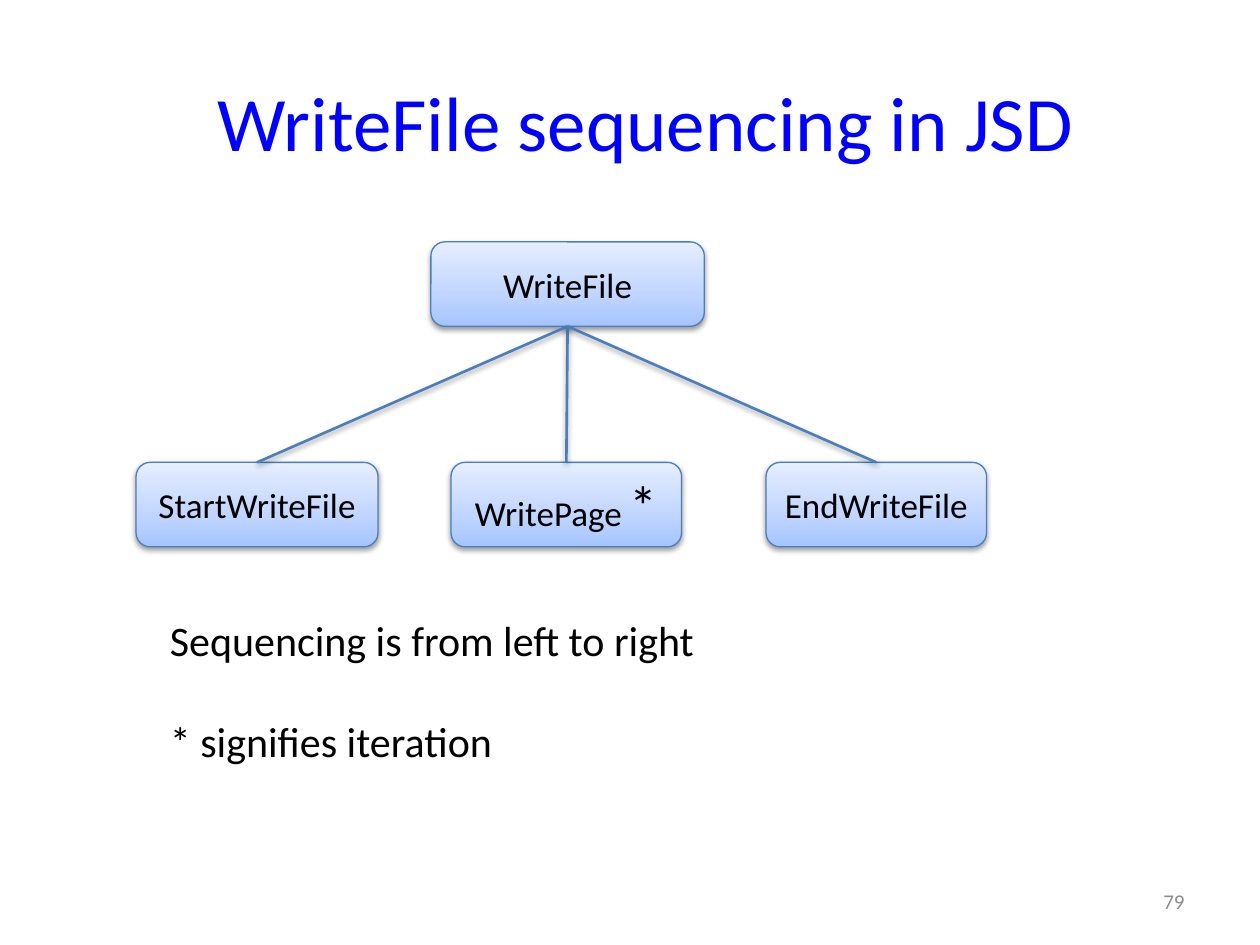
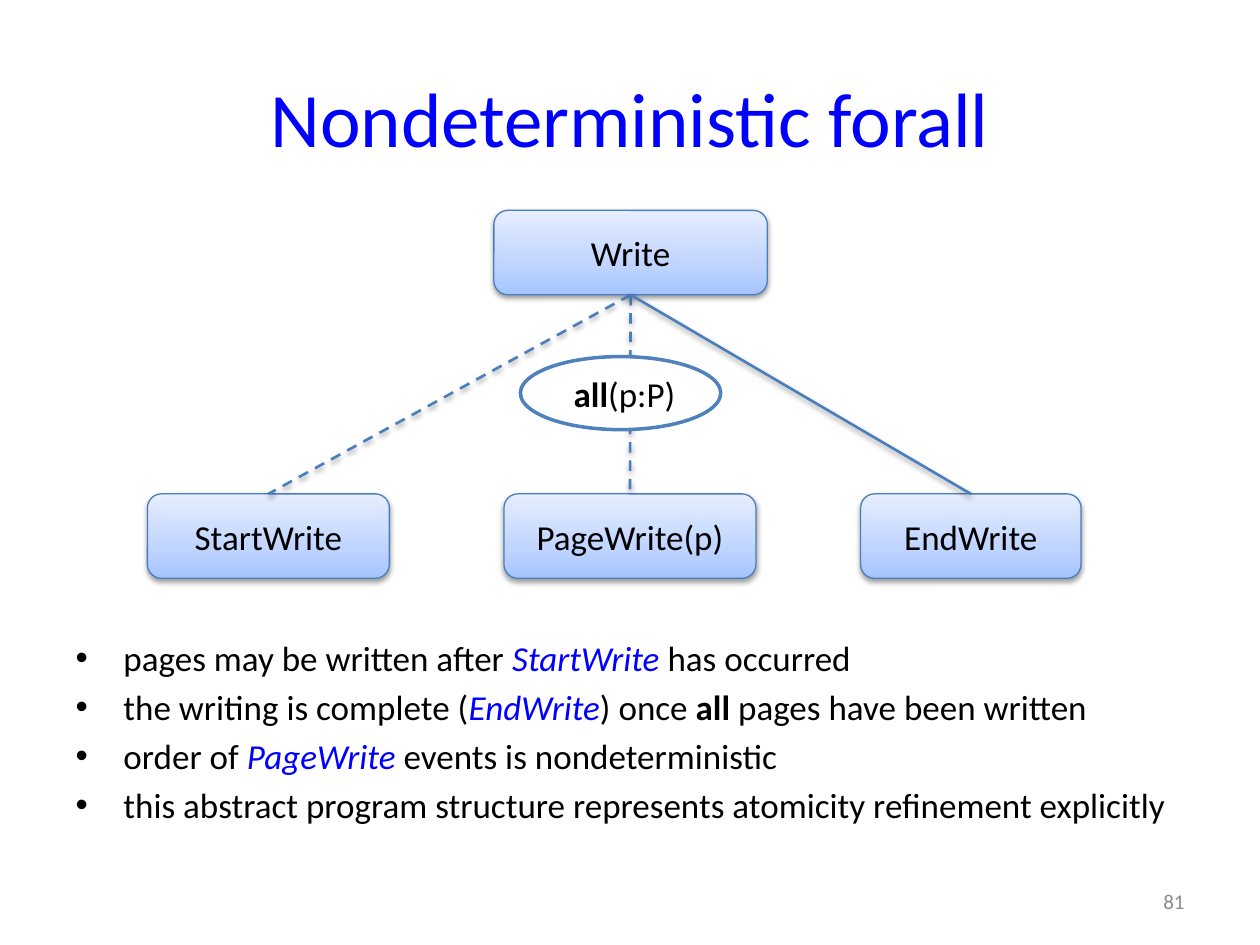
from pptx import Presentation
from pptx.dml.color import RGBColor
from pptx.enum.dml import MSO_LINE
from pptx.enum.shapes import MSO_CONNECTOR, MSO_SHAPE
from pptx.enum.text import MSO_ANCHOR, MSO_AUTO_SIZE, PP_ALIGN
from pptx.oxml import parse_xml
from pptx.oxml.ns import nsdecls, qn
from pptx.util import Inches, Pt

ROUND_RECT, OVAL = MSO_SHAPE.ROUNDED_RECTANGLE, MSO_SHAPE.OVAL
STRAIGHT, DASH = MSO_CONNECTOR.STRAIGHT, MSO_LINE.DASH
LEFT, CENTER, RIGHT = PP_ALIGN.LEFT, PP_ALIGN.CENTER, PP_ALIGN.RIGHT
MIDDLE, NO_FIT = MSO_ANCHOR.MIDDLE, MSO_AUTO_SIZE.NONE
TITLE_AND_CONTENT, TITLE_ONLY = 1, 5
BOTTOM_SITE, TOP_SITE = 2, 0

FONT = "Calibri"
BLUE, BLACK, WHITE, GREY = "0000FF", "000000", "FFFFFF", "8C8C8C"
EDGE, OVAL_EDGE = "4B7EBC", "4F81BD"
GRADIENT = [(0, "A4C4FF"), (35, "BFD4FF"), (100, "E6EEFF")]
BOX_H = 0.67
BOLD = {"bold": True}
EVENT = {"italic": True, "color": BLUE}

# A run is (text, format); a child is (runs, width, dashed link)
SEQUENCING = {
    "title": "WriteFile sequencing in JSD",
    "title_at": (0.5, 0.33, 9.25, 1.25),
    "number": "79",
    "root": ([("WriteFile", {})], (3.42, 1.92, 2.17, BOX_H)),
    "first": (1.08, 3.67),
    "pitch": 2.5,
    "children": [
        ([("StartWriteFile", {})], 1.92, False),
        ([("WritePage ", {}), ("*", {"size": 32})], 1.83, False),
        ([("EndWriteFile", {})], 1.75, False),
    ],
}
LEGEND = ["Sequencing is from left to right", "* signifies iteration"]

FORALL = {
    "title": "Nondeterministic forall",
    "title_at": (0.5, 0.3, 9, 1.25),
    "number": "81",
    "root": ([("Write", {})], (3.92, 1.67, 2.17, BOX_H)),
    "first": (1.17, 3.92),
    "pitch": 2.83,
    "children": [
        ([("StartWrite", {})], 1.92, True),
        ([("PageWrite(p)", {})], 2, True),
        ([("EndWrite", {})], 1.75, False),
    ],
}
QUANTIFIER = [(" all", BOLD), ("(p:P) ", {})]
NOTES = [
    [("pages may be written after ", {}), ("StartWrite ", EVENT), ("has occurred", {})],
    [("the writing is complete (", {}), ("EndWrite", EVENT), (") once ", {}),
     ("all ", BOLD), ("pages have been written", {})],
    [("order of ", {}), ("PageWrite ", EVENT), ("events is nondeterministic", {})],
    [("this abstract program structure represents atomicity refinement explicitly", {})],
]


def rgb(value):
    return RGBColor.from_string(value)


def inches(values):
    return [Inches(v) for v in values]


def add_runs(p, runs, align=CENTER, size=20, color=BLACK):
    p.alignment = align
    for text, fmt in runs:
        r = p.add_run()
        r.text = text
        r.font.name = FONT
        r.font.size = Pt(fmt.get("size", size))
        r.font.bold = fmt.get("bold", False)
        r.font.italic = fmt.get("italic", False)
        r.font.color.rgb = rgb(fmt.get("color", color))


def set_line(s, color, width):
    s.line.color.rgb = rgb(color)
    s.line.width = Pt(width)


def add_shadow(s):
    s._element.spPr.append(parse_xml(
        f'<a:effectLst {nsdecls("a")}><a:outerShdw blurRad="40000" dist="20000" '
        'dir="5400000" rotWithShape="0"><a:srgbClr val="000000"><a:alpha val="38000"/>'
        '</a:srgbClr></a:outerShdw></a:effectLst>'))


def add_gradient(s):
    stops = "".join(f'<a:gs pos="{pos * 1000}"><a:srgbClr val="{color}"/></a:gs>'
                    for pos, color in GRADIENT)
    s._element.spPr.find(qn("a:prstGeom")).addnext(parse_xml(
        f'<a:gradFill {nsdecls("a")} rotWithShape="1"><a:gsLst>{stops}</a:gsLst>'
        '<a:lin ang="16200000" scaled="0"/></a:gradFill>'))


def add_node(slide, runs, at, kind=ROUND_RECT):
    s = slide.shapes.add_shape(kind, *inches(at))
    s.text_frame.vertical_anchor = MIDDLE
    add_runs(s.text_frame.paragraphs[0], runs)
    return s


def add_box(slide, runs, at):
    s = add_node(slide, runs, at)
    add_gradient(s)
    set_line(s, EDGE, 0.75)
    add_shadow(s)
    return s


def add_link(slide, parent, child, dashed):
    s = slide.shapes.add_connector(STRAIGHT, 0, 0, 0, 0)
    s.begin_connect(parent, BOTTOM_SITE)
    s.end_connect(child, TOP_SITE)
    set_line(s, EDGE, 1.5)
    if dashed:
        s.line.dash_style = DASH
    add_shadow(s)


def add_tree_slide(prs, content, layout):
    """Add a slide with its title, number and a one-level tree of boxes."""
    slide = prs.slides.add_slide(prs.slide_layouts[layout])
    title = slide.shapes.title
    title.left, title.top, title.width, title.height = inches(content["title_at"])
    title.text_frame.auto_size = NO_FIT
    add_runs(title.text_frame.paragraphs[0], [(content["title"], {})], size=44, color=BLUE)

    root = add_box(slide, *content["root"])
    left, top = content["first"]
    for i, (runs, width, dashed) in enumerate(content["children"]):
        child = add_box(slide, runs, (left + i * content["pitch"], top, width, BOX_H))
        add_link(slide, root, child, dashed)

    tf = slide.shapes.add_textbox(*inches((7.17, 6.95, 2.33, 0.4))).text_frame
    tf.word_wrap = True
    tf.vertical_anchor = MIDDLE
    add_runs(tf.paragraphs[0], [(content["number"], {})], RIGHT, 12, GREY)
    return slide


def add_legend(slide):
    tf = slide.shapes.add_textbox(*inches((1.25, 4.83, 4.41, 1.31))).text_frame
    tf.word_wrap = False
    for i, text in enumerate(LEGEND):
        p = tf.add_paragraph() if i else tf.paragraphs[0]
        if i:
            p.space_before = Pt(29)
        add_runs(p, [(text, {})], LEFT, 24)


def add_quantifier(slide):
    s = add_node(slide, QUANTIFIER, (4.13, 2.83, 1.59, 0.58), OVAL)
    s.shadow.inherit = False
    s.fill.solid()
    s.fill.fore_color.rgb = rgb(WHITE)
    set_line(s, OVAL_EDGE, 2)


def fill_notes(slide):
    body = slide.placeholders[1]
    body.left, body.top, body.width, body.height = inches((0.5, 5, 9, 1.7))
    tf = body.text_frame
    tf.auto_size = NO_FIT
    for i, runs in enumerate(NOTES):
        p = tf.add_paragraph() if i else tf.paragraphs[0]
        pPr = p._p.get_or_add_pPr()
        pPr.set("marL", str(Inches(0.38)))
        pPr.set("indent", str(-Inches(0.38)))
        if not i:
            p.space_before = Pt(0)
        add_runs(p, runs, LEFT)


def main():
    prs = Presentation()
    prs.slide_width, prs.slide_height = Inches(10), Inches(7.5)

    add_legend(add_tree_slide(prs, SEQUENCING, TITLE_ONLY))

    slide = add_tree_slide(prs, FORALL, TITLE_AND_CONTENT)
    add_quantifier(slide)
    fill_notes(slide)

    prs.save("out.pptx")


if __name__ == "__main__":
    main()
